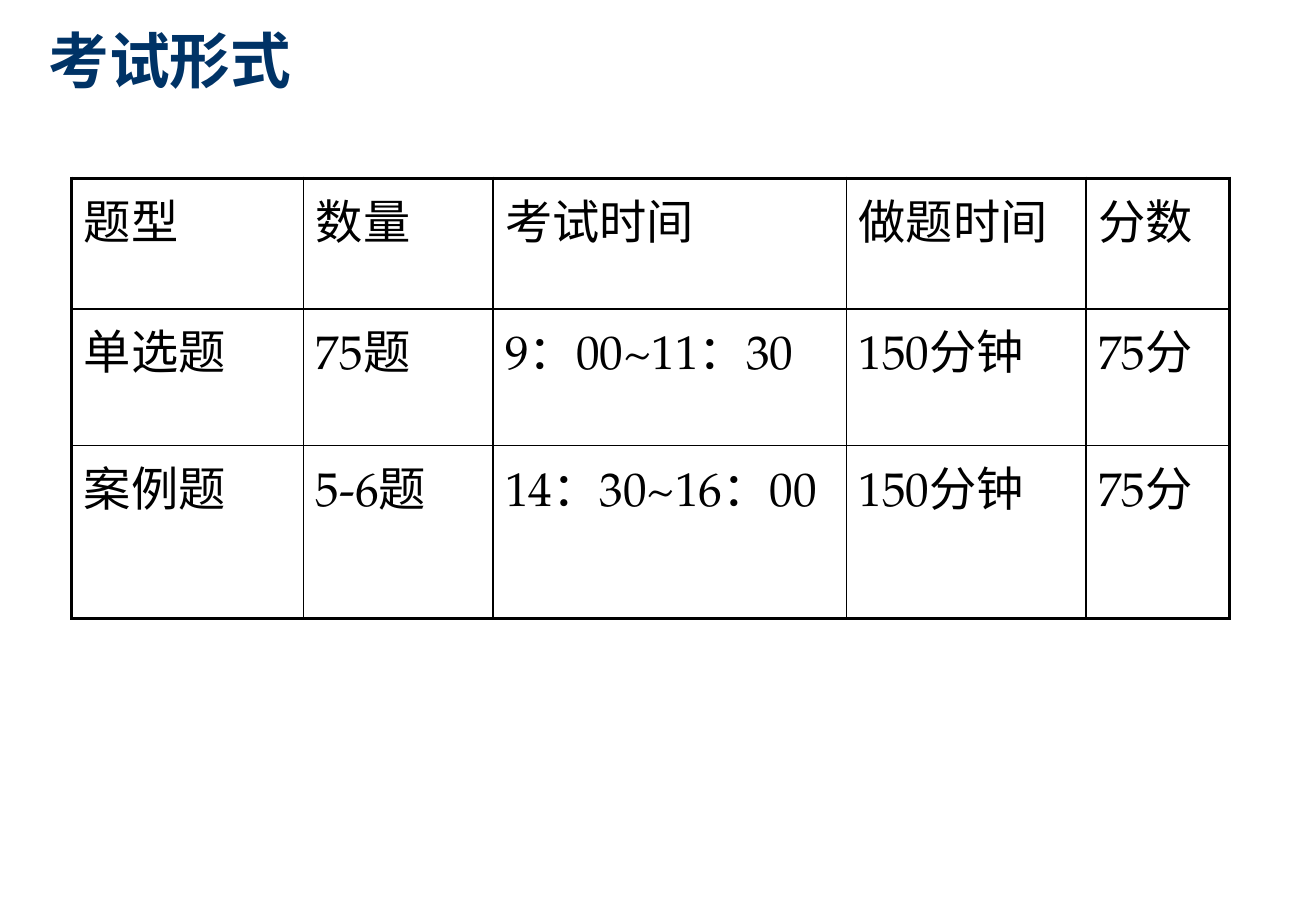
from lxml.etree import SubElement
from pptx import Presentation
from pptx.dml.color import RGBColor
from pptx.enum.text import MSO_ANCHOR
from pptx.oxml.ns import qn
from pptx.util import Cm, Pt

NAVY = RGBColor(0x00, 0x33, 0x66)
BLACK = RGBColor(0x00, 0x00, 0x00)
CJK_FONT = "Noto Sans CJK SC"
LATIN_FONT = "TeX Gyre Pagella"
OUTER_LINE, INNER_LINE = Pt(2.25), Pt(1)


class ExamSlide:
    """Holds the style and the current slide."""

    def __init__(self, presentation):
        self.slide = presentation.slides.add_slide(presentation.slide_layouts[6])

    def add_text(self, paragraph, text, size, color, font, bold=False):
        run = paragraph.add_run()
        run.text = text
        run.font.size = Pt(size)
        run.font.bold = bold
        run.font.color.rgb = color
        run.font.name = font
        SubElement(run.font._element, qn("a:ea"), typeface=CJK_FONT)

    def title(self, text, left, top, width, height):
        box = self.slide.shapes.add_textbox(Cm(left), Cm(top), Cm(width), Cm(height))
        frame = box.text_frame
        frame.word_wrap = True
        frame.vertical_anchor = MSO_ANCHOR.MIDDLE
        self.add_text(frame.paragraphs[0], text, 36, NAVY, CJK_FONT, bold=True)

    def border(self, cell, side, width):
        line = SubElement(cell._tc.get_or_add_tcPr(), qn(f"a:ln{side}"), w=str(width))
        fill = SubElement(line, qn("a:solidFill"))
        SubElement(fill, qn("a:srgbClr"), val=str(BLACK))

    def table(self, rows, left, top, widths, heights):
        grid = self.slide.shapes.add_table(
            len(rows), len(widths), Cm(left), Cm(top), Cm(sum(widths)), Cm(sum(heights))
        ).table
        grid.first_row = grid.horz_banding = False
        for column, width in zip(grid.columns, widths):
            column.width = Cm(width)
        for row, height in zip(grid.rows, heights):
            row.height = Cm(height)
        last_row, last_column = len(rows) - 1, len(widths) - 1
        for r, texts in enumerate(rows):
            for c, text in enumerate(texts):
                cell = grid.cell(r, c)
                # Heavy frame around the table, thin lines inside
                edges = {"L": c == 0, "R": c == last_column, "T": r == 0, "B": r == last_row}
                for side, is_outer in edges.items():
                    self.border(cell, side, OUTER_LINE if is_outer else INNER_LINE)
                cell.fill.background()
                paragraph = cell.text_frame.paragraphs[0]
                # Space before, relative to the text size
                spacing = SubElement(paragraph._p.get_or_add_pPr(), qn("a:spcBef"))
                SubElement(spacing, qn("a:spcPct"), val="20000")
                self.add_text(paragraph, text, 28, BLACK, LATIN_FONT)


def main():
    presentation = Presentation()
    presentation.slide_width, presentation.slide_height = Cm(27.51), Cm(19.05)
    exam = ExamSlide(presentation)

    # Heading
    exam.title("考试形式", 0.76, 0.33, 24.05, 1.8)

    # Exam parts
    exam_parts = [
        ["题型", "数量", "考试时间", "做题时间", "分数"],
        ["单选题", "75题", "9：00~11：30", "150分钟", "75分"],
        ["案例题", "5-6题", "14：30~16：00", "150分钟", "75分"],
    ]
    exam.table(exam_parts, 1.5, 3.73, [4.85, 3.96, 7.39, 5, 3], [2.73, 2.86, 3.61])

    presentation.save("out.pptx")


if __name__ == "__main__":
    main()
